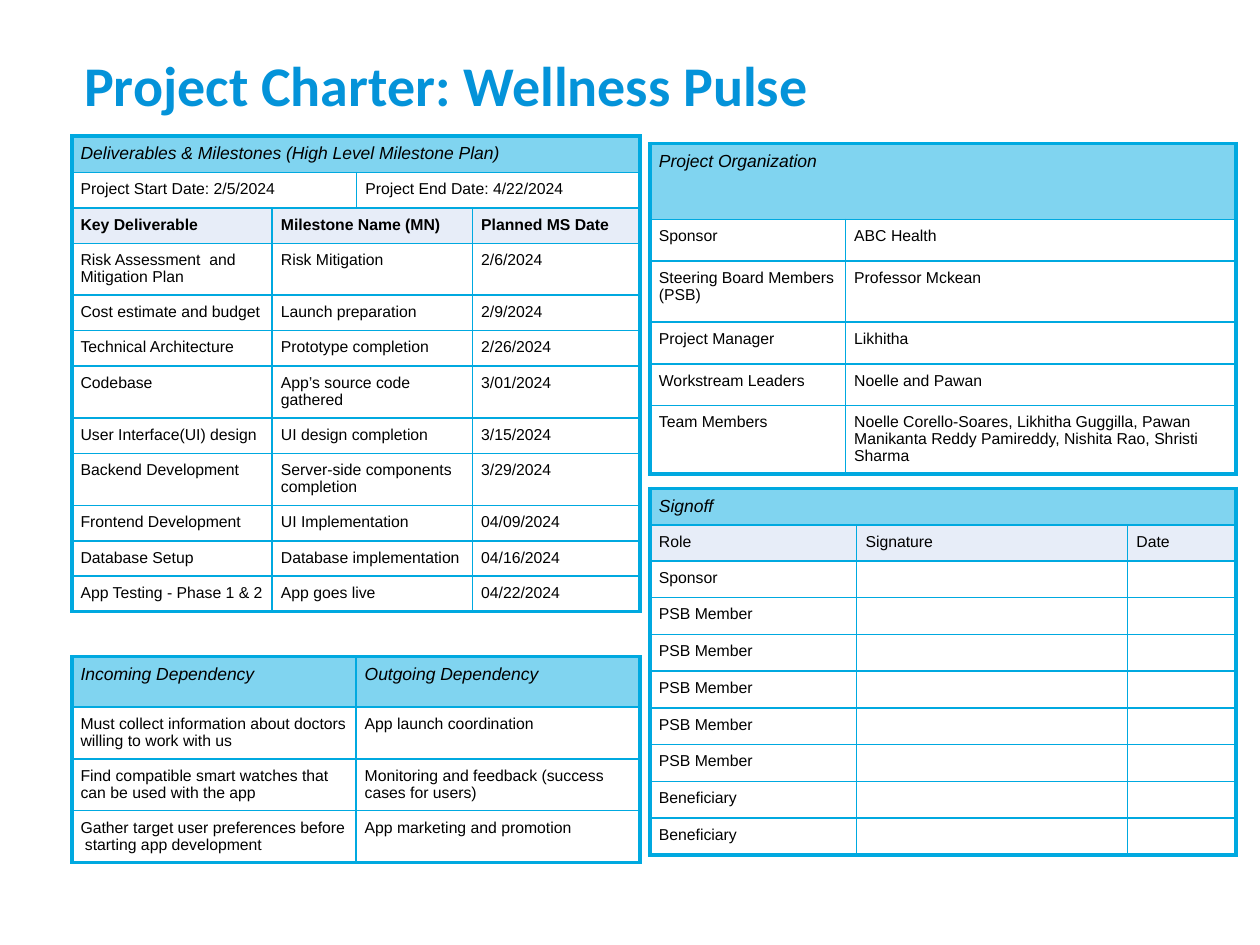
from lxml.etree import SubElement
from pptx import Presentation
from pptx.dml.color import RGBColor
from pptx.enum.text import MSO_ANCHOR
from pptx.oxml.ns import qn
from pptx.util import Inches, Pt

SLIDE_W, SLIDE_H = Inches(10), Inches(7.5)
LEFT_PANEL, RIGHT_PANEL = (5.7, 45.1), (51.6, 46.5)  # left and width, % of slide width
ONE_LINE, TWO_LINES = 3.75, 5.5  # row heights, % of slide height
SIGNOFF_ROW = 3.8
CYAN, HEADER, SUBHEADER, BLACK, TITLE = "00A9E0", "80D4F0", "E7EDF8", "000000", "0493D9"
THIN, THICK = Pt(1), Pt(2.25)
PADDING = Inches(0.07)

MILESTONES = [
    ("Risk Assessment  and Mitigation Plan", "Risk Mitigation", "2/6/2024"),
    ("Cost estimate and budget", "Launch preparation", "2/9/2024"),
    ("Technical Architecture", "Prototype completion", "2/26/2024"),
    ("Codebase", "App’s source code gathered", "3/01/2024"),
    ("User Interface(UI) design", "UI design completion", "3/15/2024"),
    ("Backend Development", "Server-side components completion", "3/29/2024"),
    ("Frontend Development", "UI Implementation", "04/09/2024"),
    ("Database Setup", "Database implementation", "04/16/2024"),
    ("App Testing - Phase 1 & 2", "App goes live", "04/22/2024"),
]
DEPENDENCIES = [
    ("Incoming Dependency", "Outgoing Dependency"),
    ("Must collect information about doctors willing to work with us",
     "App launch coordination"),
    ("Find compatible smart watches that can be used with the app",
     "Monitoring and feedback (success cases for users)"),
    ("Gather target user preferences before  starting app development",
     "App marketing and promotion"),
]
ORGANIZATION = [
    ("Project Organization", None),
    ("Sponsor", "ABC Health"),
    ("Steering Board Members (PSB)", "Professor Mckean"),
    ("Project Manager", "Likhitha"),
    ("Workstream Leaders", "Noelle and Pawan"),
    ("Team Members", "Noelle Corello-Soares, Likhitha Guggilla, Pawan "
     "Manikanta Reddy Pamireddy, Nishita Rao, Shristi Sharma"),
]
SIGNOFF_ROLES = ["Sponsor"] + ["PSB Member"] * 5 + ["Beneficiary"] * 2


def color(hex_string):
    return RGBColor.from_string(hex_string)


def across(percent):
    return round(SLIDE_W * percent / 100)


def down(percent):
    return round(SLIDE_H * percent / 100)


def add_run(paragraph, text, size, font_name, hex_string, bold=False, italic=False):
    run = paragraph.add_run()
    run.text = text
    run.font.size, run.font.name = Pt(size), font_name
    run.font.bold, run.font.italic = bold, italic
    run.font.color.rgb = color(hex_string)


def set_borders(cell, edges):
    """Draw the sides of a cell, thick on those named in edges."""
    properties = cell._tc.get_or_add_tcPr()
    for position, side in enumerate("LRTB"):
        width = THICK if side in edges else THIN
        line = properties.makeelement(qn(f"a:ln{side}"), {"w": str(width)})
        fill = SubElement(line, qn("a:solidFill"))
        SubElement(fill, qn("a:srgbClr"), val=CYAN)
        properties.insert(position, line)


def fill_cell(cell, text, background, size, bold, italic):
    cell.margin_left = cell.margin_right = PADDING
    cell.margin_top = cell.margin_bottom = PADDING
    if background:
        cell.fill.solid()
        cell.fill.fore_color.rgb = color(background)
    else:
        cell.fill.background()
    paragraph = cell.text_frame.paragraphs[0]
    paragraph.line_spacing = 0.96
    if text:
        add_run(paragraph, text, size, "Arial", BLACK, bold, italic)
    else:
        SubElement(paragraph._p, qn("a:endParaRPr"), sz=str(size * 100))


def add_panel(slide, panel, top, columns, heights, rows, subheader=None, bold=False):
    """Add a bordered table; None in a row extends the cell on its left."""
    left, width = panel
    frame = slide.shapes.add_table(len(rows), len(columns), across(left), down(top),
                                   across(width), down(sum(heights)))
    table = frame.table
    table.horz_banding = table.first_row = False
    for column, weight in zip(table.columns, columns):
        column.width = round(across(width) * weight / sum(columns))
    for row, height in zip(table.rows, heights):
        row.height = down(height)

    last_row, last_column = len(rows) - 1, len(columns) - 1
    for r, texts in enumerate(rows):
        is_header, is_subheader = r == 0, r == subheader
        background = HEADER if is_header else SUBHEADER if is_subheader else None
        for c, text in enumerate(texts):
            cell = table.cell(r, c)
            end = c
            while end < last_column and texts[end + 1] is None:
                end += 1
            edges = ("L" * (c == 0) + "R" * (end == last_column)
                     + "T" * (r == 0) + "B" * (r == last_row))
            fill_cell(cell, text, background, 10 if is_header else 9,
                      bold and is_subheader, is_header)
            set_borders(cell, edges)
            if text is not None and end > c:
                cell.merge(table.cell(r, end))


def add_title(slide, text):
    box = slide.shapes.add_textbox(across(5.7), down(2.5), across(86.7), down(12.7))
    box.text_frame.word_wrap = True
    box.text_frame.vertical_anchor = MSO_ANCHOR.MIDDLE
    add_run(box.text_frame.paragraphs[0], text, 32, "Calibri", TITLE, bold=True)


def main():
    deck = Presentation()
    deck.slide_width, deck.slide_height = SLIDE_W, SLIDE_H
    slide = deck.slides.add_slide(deck.slide_layouts[6])

    add_panel(slide, LEFT_PANEL, 69.5, (1, 1), [5.3] + [TWO_LINES] * 3, DEPENDENCIES)

    plan = [
        ("Deliverables & Milestones (High Level Milestone Plan)", None, None, None),
        ("Project Start Date: 2/5/2024", None, "Project End Date: 4/22/2024", None),
        ("Key Deliverable", "Milestone Name (MN)", None, "Planned MS Date"),
    ] + [(deliverable, name, None, date) for deliverable, name, date in MILESTONES]
    two_line_rows = (3, 6, 8)
    plan_heights = [TWO_LINES if r in two_line_rows else ONE_LINE for r in range(len(plan))]
    add_panel(slide, LEFT_PANEL, 14.4, (1.59, 0.67, 0.92, 1.33), plan_heights, plan,
              subheader=2, bold=True)

    signoff = [("Signoff", None, None), ("Role", "Signature", "Date")]
    signoff += [(role, "", "") for role in SIGNOFF_ROLES]
    add_panel(slide, RIGHT_PANEL, 51.7, (1.64, 2.15, 0.86),
              [SIGNOFF_ROW] * len(signoff), signoff, subheader=1)

    add_panel(slide, RIGHT_PANEL, 15.2, (1, 2), [8, 4.4, 6.5, 4.4, 4.4, 7.2], ORGANIZATION)
    add_title(slide, "Project Charter: Wellness Pulse")
    deck.save("out.pptx")


if __name__ == "__main__":
    main()
